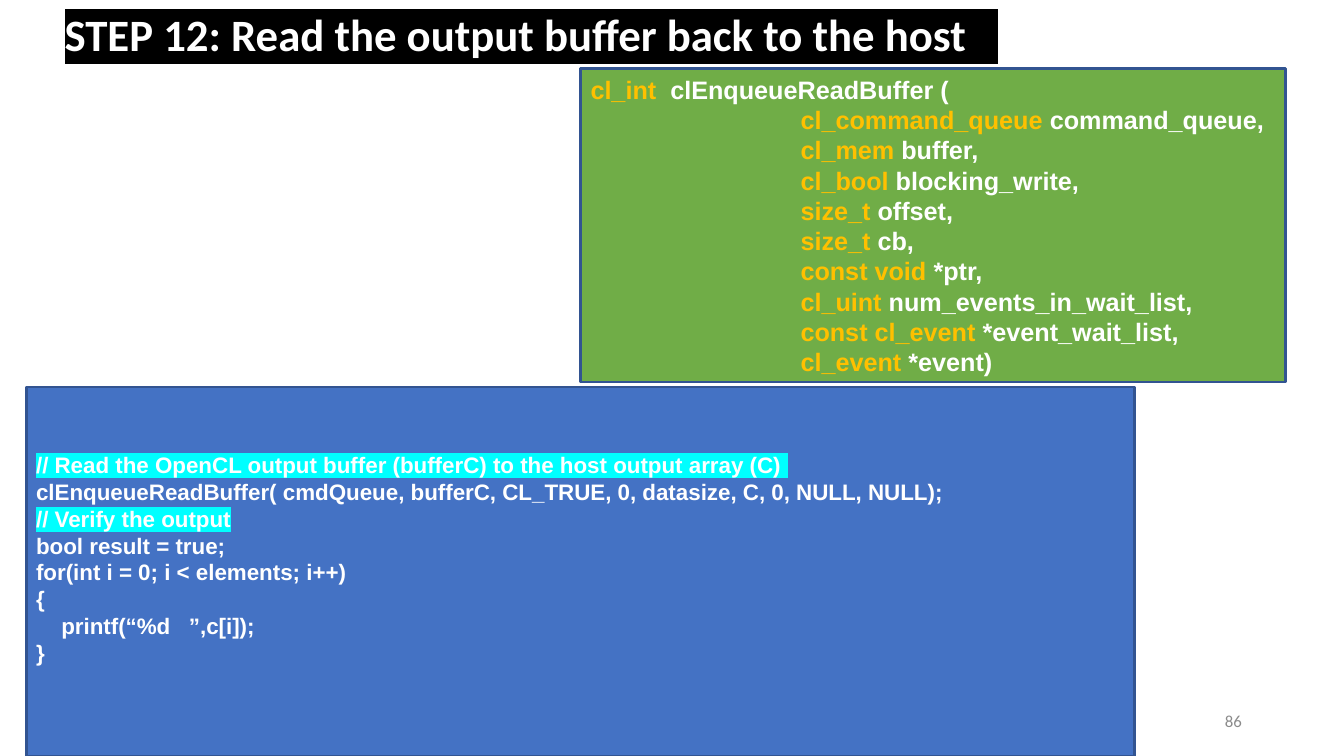
import pptx
import pptx.util
import pptx.dml.color
import pptx.enum.shapes
import pptx.enum.text
import pptx.oxml
import pptx.oxml.ns
from pptx.util import Pt

COLORS = {
    "white": "FFFFFF", "black": "000000", "type": "FFC000", "comment": "00FFFF",
    "green": "70AD47", "blue": "4472C4", "border": "325491", "number": "8B8B8B",
}

PARAMETERS = [
    ("cl_command_queue", "command_queue,"),
    ("cl_mem", "buffer,"),
    ("cl_bool", "blocking_write,"),
    ("size_t", "offset,"),
    ("size_t", "cb,"),
    ("const void", "*ptr,"),
    ("cl_uint", "num_events_in_wait_list,"),
    ("const cl_event", "*event_wait_list,"),
    ("cl_event", "*event)"),
]

# Each line: text, indent in points
CODE = [
    ("// Read the OpenCL output buffer (bufferC) to the host output array (C) ", 0),
    ("clEnqueueReadBuffer( cmdQueue, bufferC, CL_TRUE, 0, datasize, C, 0, NULL, NULL);", 0),
    ("// Verify the output", 0),
    ("bool result = true;", 0),
    ("for(int i = 0; i < elements; i++)", 0),
    ("{", 0),
    ("printf(“%d   ”,c[i]);", 18),
    ("}", 0),
]


def rgb(name):
    return pptx.dml.color.RGBColor.from_string(COLORS[name])


def format_run(r, size, color, font="Arial", bold=True, highlight=None):
    r.font.size = Pt(size)
    r.font.bold = bold
    r.font.color.rgb = rgb(color)
    r.font.name = font
    if highlight:
        mark = pptx.oxml.parse_xml(
            f'<a:highlight {pptx.oxml.ns.nsdecls("a")}>'
            f'<a:srgbClr val="{COLORS[highlight]}"/></a:highlight>')
        r.font.fill._xPr.find(pptx.oxml.ns.qn("a:solidFill")).addnext(mark)


def add_line(tf, indent=0):
    """Return the next left-aligned paragraph of the frame."""
    p = tf.paragraphs[0]
    if p.runs:
        p = tf.add_paragraph()
    p.alignment = pptx.enum.text.PP_ALIGN.LEFT
    if indent:
        pPr = p._p.get_or_add_pPr()
        pPr.set("marL", str(Pt(indent)))
        pPr.set("indent", "0")
    return p


def add_panel(s, left, top, width, height, fill):
    sp = s.shapes.add_shape(pptx.enum.shapes.MSO_SHAPE.RECTANGLE,
                            Pt(left), Pt(top), Pt(width), Pt(height))
    sp.shadow.inherit = False
    sp.fill.solid()
    sp.fill.fore_color.rgb = rgb(fill)
    sp.line.color.rgb = rgb("border")
    sp.line.width = Pt(2)
    tf = sp.text_frame
    tf.word_wrap = True
    tf.vertical_anchor = pptx.enum.text.MSO_ANCHOR.MIDDLE
    return tf


def add_declaration(tf, type_name, name, indent=0):
    p = add_line(tf, indent)
    for text, color in ((type_name + " ", "type"), (name, "white")):
        r = p.add_run()
        r.text = text
        format_run(r, 18, color)


def set_title(s, text):
    sp = s.shapes.title
    sp.left, sp.top, sp.width, sp.height = Pt(38.9), Pt(-2.9), Pt(828), Pt(59)
    tf = sp.text_frame
    tf.text = text
    tf.auto_size = pptx.enum.text.MSO_AUTO_SIZE.NONE
    tf.vertical_anchor = pptx.enum.text.MSO_ANCHOR.MIDDLE
    p = tf.paragraphs[0]
    p.alignment = pptx.enum.text.PP_ALIGN.LEFT
    p.line_spacing = 0.9
    format_run(p.runs[0], 32, "white", "Calibri", highlight="black")


def add_slide_number(s, text):
    sp = s.shapes.add_textbox(Pt(678.2), Pt(500.4), Pt(216), Pt(28.8))
    tf = sp.text_frame
    tf.word_wrap = True
    tf.vertical_anchor = pptx.enum.text.MSO_ANCHOR.MIDDLE
    tf.text = text
    p = tf.paragraphs[0]
    p.alignment = pptx.enum.text.PP_ALIGN.RIGHT
    format_run(p.runs[0], 12, "number", "Calibri", bold=False)


def main():
    prs = pptx.Presentation()
    prs.slide_width, prs.slide_height = Pt(960), Pt(540)
    s = prs.slides.add_slide(prs.slide_layouts[5])

    # Title and slide number
    set_title(s, "STEP 12: Read the output buffer back to the host   ")
    add_slide_number(s, "86")

    # Function signature
    tf = add_panel(s, 414.7, 49, 503.3, 223.9, "green")
    add_declaration(tf, "cl_int ", "clEnqueueReadBuffer (")
    for type_name, name in PARAMETERS:
        add_declaration(tf, type_name, name, indent=150)

    # Example code, set slightly above the middle
    tf = add_panel(s, 18.7, 276.5, 792, 263.5, "blue")
    tf.margin_bottom = Pt(22)
    for text, indent in CODE:
        p = add_line(tf, indent)
        p.text = text
        highlight = "comment" if text.startswith("//") else None
        format_run(p.runs[0], 16, "white", highlight=highlight)

    prs.save("out.pptx")


if __name__ == "__main__":
    main()
